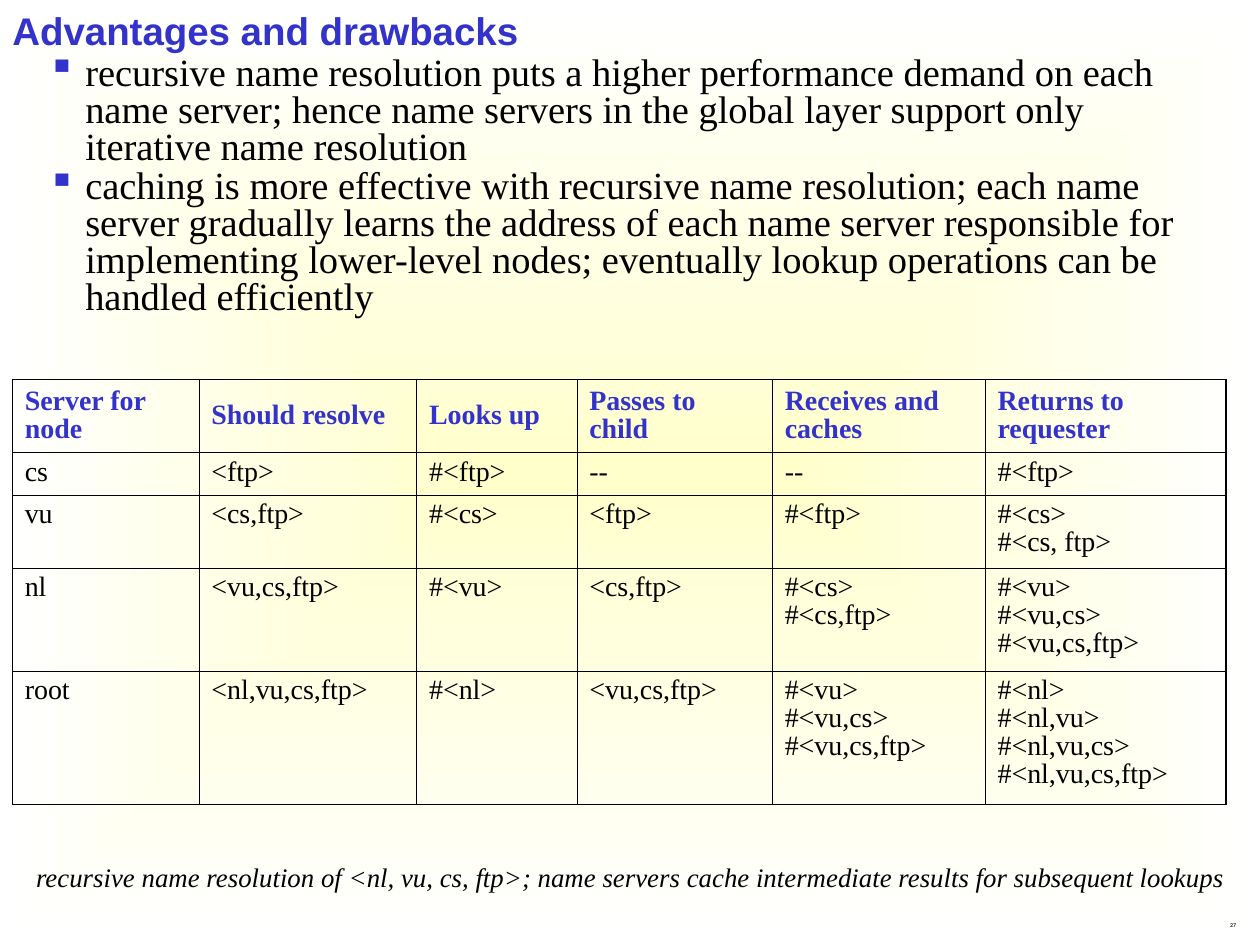
from lxml import etree
from pptx import Presentation, util as u
from pptx.dml.color import RGBColor
from pptx.enum import text
from pptx.oxml import ns

BLUE = RGBColor(0x33, 0x33, 0xCC)
BLACK = RGBColor(0, 0, 0)
CHARCOAL = RGBColor(0x1C, 0x1C, 0x1C)
CREAM = RGBColor(0xFF, 0xFF, 0xCC)
WHITE = RGBColor(0xFF, 0xFF, 0xFF)
SERIF = "Times New Roman"
THIN, THICK = 0.45, 1.08

BULLETS = [
    "recursive name resolution puts a higher performance demand on each name server; "
    "hence name servers in the global layer support only iterative name resolution",
    "caching is more effective with recursive name resolution; each name server gradually "
    "learns the address of each name server responsible for implementing lower-level nodes; "
    "eventually lookup operations can be handled efficiently",
]
CAPTION = ("recursive name resolution of <nl, vu, cs, ftp>; "
           "name servers cache intermediate results for subsequent lookups")
ROWS = [
    ["Server for node", "Should resolve", "Looks up", "Passes to child",
     "Receives and caches", "Returns to requester"],
    ["cs", "<ftp>", "#<ftp>", "--", "--", "#<ftp>"],
    ["vu", "<cs,ftp>", "#<cs>", "<ftp>", "#<ftp>", "#<cs>\n#<cs, ftp>"],
    ["nl", "<vu,cs,ftp>", "#<vu>", "<cs,ftp>", "#<cs>\n#<cs,ftp>",
     "#<vu>\n#<vu,cs>\n#<vu,cs,ftp>"],
    ["root", "<nl,vu,cs,ftp>", "#<nl>", "<vu,cs,ftp>", "#<vu>\n#<vu,cs>\n#<vu,cs,ftp>",
     "#<nl>\n#<nl,vu>\n#<nl,vu,cs>\n#<nl,vu,cs,ftp>"],
]
COL_WIDTHS = [3.76, 4.39, 3.23, 3.94, 4.29, 4.85]
ROW_HEIGHTS = [1.47, 0.86, 1.47, 2.08, 2.69]


def sub(parent, tag, **attrs):
    """Append a drawing element with the given attributes."""
    return etree.SubElement(parent, ns.qn(tag), attrs)


def set_background(s):
    """Fill the slide with a gradient that spreads from its centre."""
    fill = s.background.fill
    fill.gradient()
    for stop, position, color in zip(fill.gradient_stops, (0, 1), (CREAM, WHITE)):
        stop.position = position
        stop.color.rgb = color
    grad = next(s.element.iter(ns.qn("a:gradFill")))
    for lin in grad.findall(ns.qn("a:lin")):
        grad.remove(lin)
    spread = sub(grad, "a:path", path="rect")
    sub(spread, "a:fillToRect", **dict.fromkeys("ltrb", "50000"))


def write(p, content, size, color, font=SERIF, bold=False, italic=False, spacing=0.8):
    """Write the lines of content into a paragraph."""
    p.line_spacing = spacing
    for i, line in enumerate(content.split("\n")):
        if i:
            p.add_line_break()
        r = p.add_run()
        r.text = line
        f = r.font
        f.size, f.name, f.bold, f.italic = u.Pt(size), font, bold, italic
        f.color.rgb = color


def place(sp, left, top, width, height, anchor=text.MSO_ANCHOR.TOP):
    """Set the position and frame of a text shape and return its frame."""
    sp.left, sp.top, sp.width, sp.height = map(u.Cm, (left, top, width, height))
    tf = sp.text_frame
    tf.word_wrap = True
    tf.auto_size = text.MSO_AUTO_SIZE.NONE
    tf.vertical_anchor = anchor
    tf.margin_left = tf.margin_right = u.Cm(0.25)
    tf.margin_top = tf.margin_bottom = u.Cm(0.13)
    return tf


def add_box(s, *frame, **options):
    """Add a text box and return its text frame."""
    return place(s.shapes.add_textbox(0, 0, 0, 0), *frame, **options)


def add_bullets(tf, items):
    """Write items as paragraphs with square bullets."""
    for i, item in enumerate(items):
        p = tf.add_paragraph() if i else tf.paragraphs[0]
        pPr = p._p.get_or_add_pPr()
        pPr.set("marL", str(u.Cm(1.47)))
        pPr.set("indent", str(u.Cm(-0.76)))
        sub(sub(pPr, "a:buClr"), "a:srgbClr", val=str(BLUE))
        sub(pPr, "a:buChar", char="▪")
        if i:
            p.space_before = u.Pt(1.4)
        write(p, item, 22, BLACK)


def set_borders(cell, outer):
    """Draw the four cell borders, thick on the outer sides."""
    tcPr = cell._tc.get_or_add_tcPr()
    for side in "LRTB":
        width = THICK if side in outer else THIN
        ln = sub(tcPr, f"a:ln{side}", w=str(u.Pt(width)))
        sub(sub(ln, "a:solidFill"), "a:srgbClr", val=str(BLACK))


def add_server_table(s):
    """Add the table of name servers and cached results."""
    n_rows, n_cols = len(ROWS), len(COL_WIDTHS)
    table = s.shapes.add_table(n_rows, n_cols, u.Cm(0.25), u.Cm(7.65),
                               u.Cm(sum(COL_WIDTHS)), u.Cm(sum(ROW_HEIGHTS))).table
    table.first_row = table.horz_banding = False
    for col, width in zip(table.columns, COL_WIDTHS):
        col.width = u.Cm(width)
    for i, (row, height) in enumerate(zip(table.rows, ROW_HEIGHTS)):
        row.height = u.Cm(height)
        for j, cell in enumerate(row.cells):
            edges = {"L": j == 0, "R": j == n_cols - 1, "T": i == 0, "B": i == n_rows - 1}
            set_borders(cell, [side for side, outer in edges.items() if outer])
            cell.fill.background()
            cell.margin_left = cell.margin_right = u.Cm(0.25)
            cell.margin_top = cell.margin_bottom = u.Cm(0.13)
            header = i == 0
            cell.vertical_anchor = text.MSO_ANCHOR.MIDDLE if header else text.MSO_ANCHOR.TOP
            write(cell.text_frame.paragraphs[0], ROWS[i][j], 16,
                  BLUE if header else BLACK, bold=header, spacing=0.9)


def main():
    """Build the slide and save it."""
    prs = Presentation()
    prs.slide_width, prs.slide_height = u.Cm(25.4), u.Cm(19.05)
    s = prs.slides.add_slide(prs.slide_layouts[5])
    set_background(s)

    p = place(s.shapes.title, 0, 0.2, 24.77, 0.84).paragraphs[0]
    p.alignment = text.PP_ALIGN.LEFT
    write(p, "Advantages and drawbacks", 22, BLUE, font="Arial", bold=True)

    add_bullets(add_box(s, 0, 1.02, 24.77, 5.53), BULLETS)
    add_server_table(s)

    p = add_box(s, 0.43, 17.35, 24.56, 0.91).paragraphs[0]
    p.alignment = text.PP_ALIGN.CENTER
    write(p, CAPTION, 15.3, BLACK, italic=True)

    p = add_box(s, 23.7, 18.42, 1.47, 0.43, anchor=text.MSO_ANCHOR.BOTTOM).paragraphs[0]
    p.alignment = text.PP_ALIGN.RIGHT
    write(p, "27", 3, CHARCOAL, font="Lato", bold=True)

    prs.save("out.pptx")


if __name__ == "__main__":
    main()
